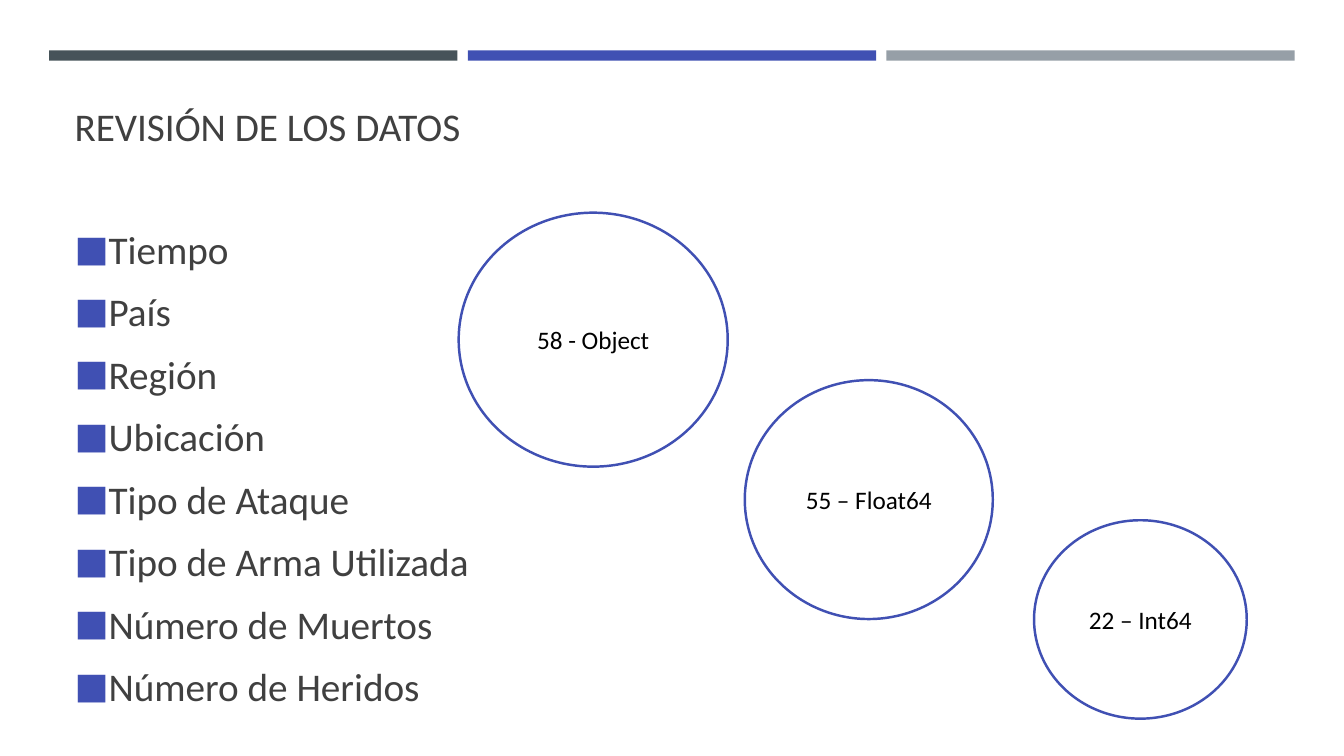
from lxml import etree
from pptx import Presentation, util as u
from pptx.dml.color import RGBColor
from pptx.enum import shapes, text
from pptx.oxml.ns import qn

HUES = {"slate": "465359", "blue": "4050B3", "gray": "969FA7",
        "ink": "404040", "black": "000000", "white": "FFFFFF"}
KINDS = shapes.MSO_SHAPE
ALIGN, ANCHOR = text.PP_ALIGN, text.MSO_ANCHOR


def write(shape, lines, size, hue, anchor, form):
    """Fill a shape with paragraphs in one style."""
    frame = shape.text_frame
    frame.word_wrap = True
    frame.vertical_anchor = anchor
    frame.text = "\n".join(lines)
    for para in frame.paragraphs:
        para.font.name = "Calibri"
        para.font.size = u.Pt(size)
        para.font.color.rgb = RGBColor.from_string(HUES[hue])
        for key, val in form.items():
            setattr(para, key, val)


def draw(kind, box, fill, line=None):
    """Add a flat shape, outlined if a line colour is given."""
    shape = slide.shapes.add_shape(kind, *map(u.Cm, box))
    shape.shadow.inherit = False
    shape.fill.solid()
    shape.fill.fore_color.rgb = RGBColor.from_string(HUES[fill])
    if line:
        shape.line.color.rgb = RGBColor.from_string(HUES[line])
        shape.line.width = u.Pt(1.75)
    else:
        shape.line.fill.background()
    return shape


deck = Presentation()
deck.slide_width, deck.slide_height = u.Cm(33.87), u.Cm(19.05)
slide = deck.slides.add_slide(deck.slide_layouts[6])

# Top bars
for col, hue in enumerate(("slate", "blue", "gray")):
    draw(KINDS.RECTANGLE, (1.24 + col * 10.55, 1.27, 10.29, 0.26), hue)

# Title
title = slide.shapes.add_textbox(*map(u.Cm, (1.63, 1.96, 30.63, 1.93)))
write(title, ["REVISIÓN DE LOS DATOS"], 28, "ink", ANCHOR.BOTTOM, {})

# Bulleted list of fields
fields = ["Tiempo", "País", "Región", "Ubicación", "Tipo de Ataque",
          "Tipo de Arma Utilizada", "Número de Muertos", "Número de Heridos"]
body = slide.shapes.add_textbox(*map(u.Cm, (1.63, 5.31, 30.63, 12.93)))
write(body, fields, 28, "ink", ANCHOR.MIDDLE,
      {"space_before": u.Pt(5), "space_after": u.Pt(6)})
for para in body.text_frame.paragraphs:
    props = para._p.get_or_add_pPr()
    props.set("marL", str(u.Cm(0.85)))
    props.set("indent", str(-u.Cm(0.85)))
    # Bullet parts go after the spacing and before the default run format
    parts = [etree.Element(qn("a:" + tag), **{key: val}) for tag, key, val in (
        ("buClr", "", ""), ("buSzPct", "val", "92000"),
        ("buFont", "typeface", "Calibri"), ("buChar", "char", "■")) if key]
    color = etree.Element(qn("a:buClr"))
    etree.SubElement(color, qn("a:srgbClr"), val=HUES["blue"])
    last = props.find(qn("a:defRPr"))
    for part in [color] + parts:
        last.addprevious(part)

# Column counts by data type
for label, box in (("55 – Float64", (18.77, 9.58, 6.25, 6.02)),
                   ("22 – Int64", (26.06, 13.11, 5.36, 5.0)),
                   ("58 - Object", (11.56, 5.36, 6.78, 6.4))):
    ring = draw(KINDS.OVAL, box, "white", "blue")
    write(ring, [label], 18, "black", ANCHOR.MIDDLE,
          {"alignment": ALIGN.CENTER})

deck.save("out.pptx")
